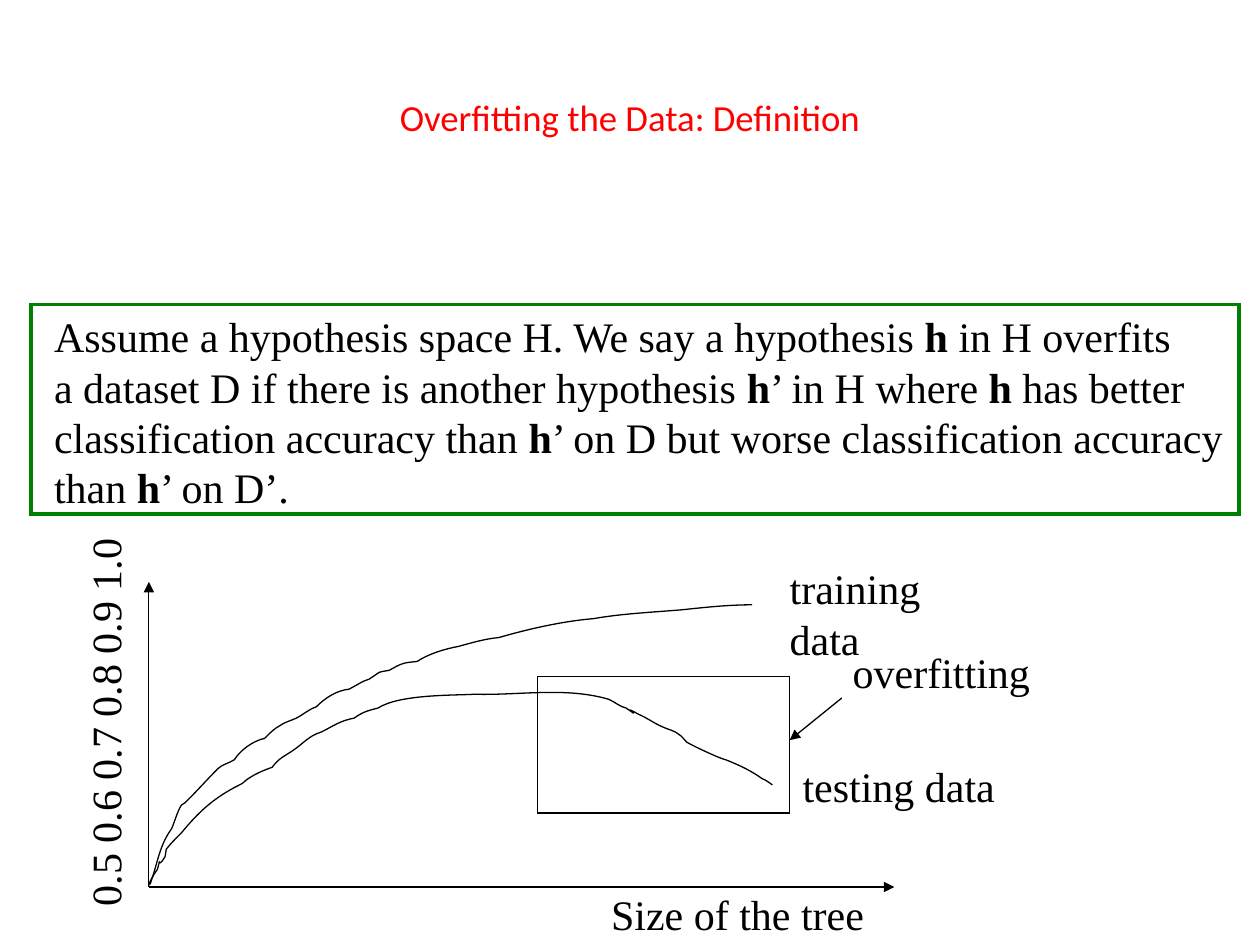
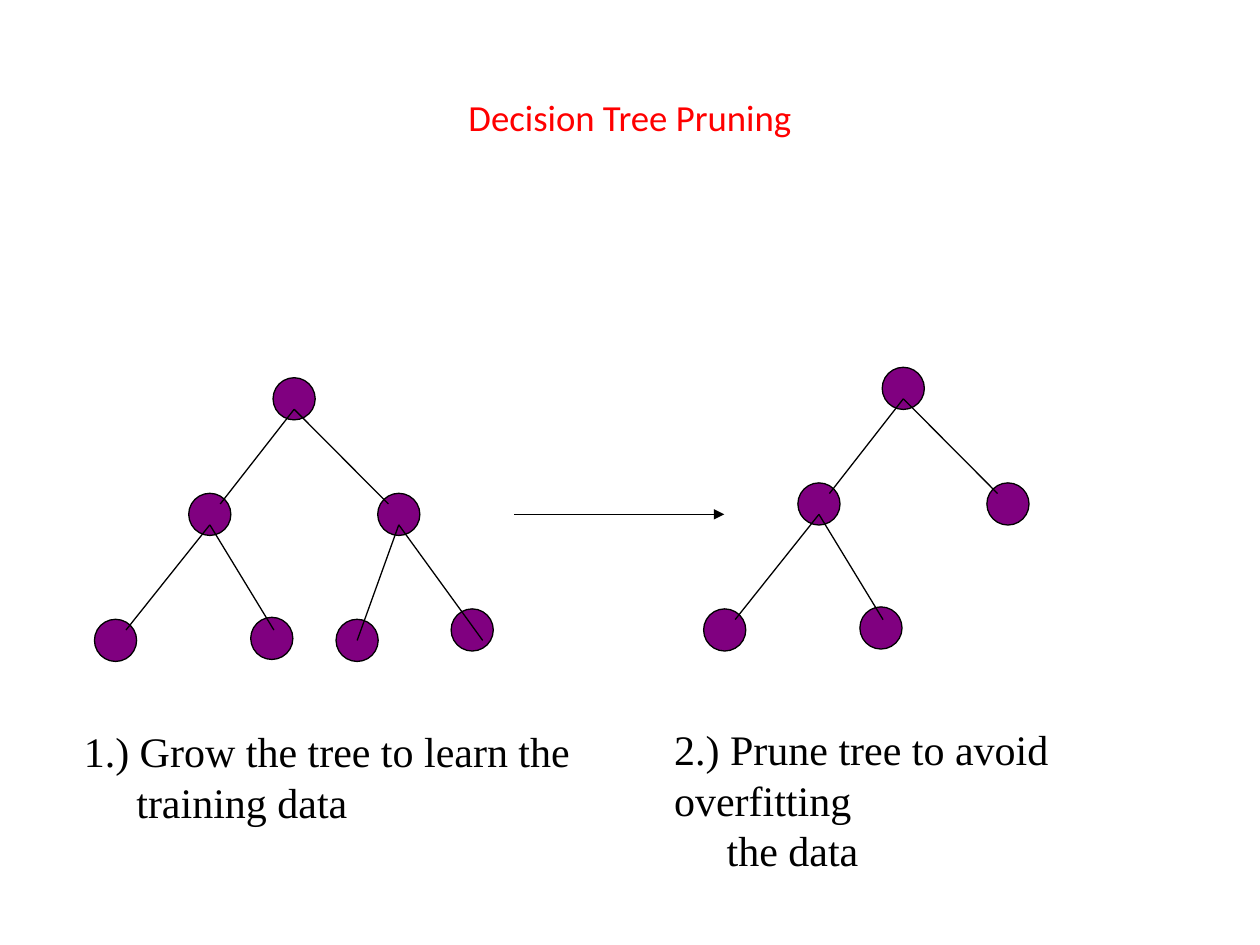
from dataclasses import dataclass

from lxml import etree
from pptx import Presentation
from pptx import util as u
from pptx.dml.color import RGBColor
from pptx.enum import shapes, text
from pptx.oxml.ns import qn


@dataclass(frozen=True)
class Theme:
    title_font: str = "Calibri"
    body_font: str = "Times New Roman"
    title_size: int = 21
    body_size: int = 24
    title: RGBColor = RGBColor(0xFF, 0x00, 0x00)
    ink: RGBColor = RGBColor(0x00, 0x00, 0x00)
    frame: RGBColor = RGBColor(0x00, 0x80, 0x00)
    node: RGBColor = RGBColor(0x80, 0x00, 0x80)
    thin: float = 0.75
    thick: float = 2.25


THEME = Theme()
CM_PER_INCH = 2.54

DEFINITION = [
    "Assume a hypothesis space H. We say a hypothesis *h* in H overfits",
    "a dataset D if there is another hypothesis *h*’ in H where *h* has better",
    "classification accuracy than *h*’ on D but worse classification accuracy",
    "than *h*’ on D’.",
]

# Accuracy curves in inches: a start, then two handles and an end per bend.
TRAINING = [
    (1.19, 7.02),
    (1.25, 6.86), (1.26, 6.72), (1.36, 6.58), (1.37, 6.57), (1.41, 6.43), (1.44, 6.39),
    (1.45, 6.38), (1.48, 6.37), (1.49, 6.35), (1.57, 6.27), (1.65, 6.18), (1.73, 6.1),
    (1.76, 6.07), (1.81, 6.06), (1.86, 6.03), (1.91, 5.95), (2.01, 5.88), (2.1, 5.86),
    (2.14, 5.82), (2.18, 5.78), (2.22, 5.76), (2.26, 5.73), (2.31, 5.72), (2.35, 5.7),
    (2.41, 5.67), (2.45, 5.63), (2.51, 5.61), (2.58, 5.54), (2.67, 5.48), (2.77, 5.47),
    (2.9, 5.4), (2.85, 5.42), (2.93, 5.39), (3.04, 5.32), (2.98, 5.34), (3.09, 5.32),
    (3.18, 5.27), (3.19, 5.26), (3.31, 5.25), (3.4, 5.19), (3.53, 5.15), (3.64, 5.13),
    (3.75, 5.1), (3.85, 5.07), (3.96, 5.06), (4.2, 4.99), (4.47, 4.93), (4.71, 4.91),
    (4.94, 4.87), (5.17, 4.86), (5.41, 4.84), (5.6, 4.82), (5.78, 4.8), (5.97, 4.8),
]
TESTING = [
    (1.18, 7.03),
    (1.19, 6.98), (1.25, 6.9), (1.25, 6.9), (1.29, 6.75), (1.23, 6.93), (1.31, 6.8),
    (1.32, 6.78), (1.31, 6.76), (1.32, 6.74), (1.35, 6.7), (1.4, 6.65), (1.44, 6.61),
    (1.58, 6.44), (1.7, 6.33), (1.9, 6.23), (1.93, 6.22), (1.95, 6.19), (1.97, 6.18),
    (2.03, 6.14), (2.1, 6.11), (2.16, 6.09), (2.21, 6.02), (2.26, 6), (2.32, 5.96),
    (2.41, 5.9), (2.45, 5.84), (2.55, 5.81), (2.65, 5.76), (2.7, 5.72), (2.81, 5.7),
    (2.88, 5.65), (2.92, 5.64), (3, 5.62), (3.17, 5.51), (3.59, 5.52), (3.77, 5.51),
    (4.12, 5.52), (4.49, 5.45), (4.83, 5.55), (4.88, 5.57), (4.92, 5.61), (4.97, 5.62),
    (5.13, 5.73), (4.89, 5.57), (5.07, 5.67), (5.14, 5.7), (5.19, 5.74), (5.26, 5.77),
    (5.3, 5.79), (5.36, 5.8), (5.39, 5.83), (5.41, 5.84), (5.43, 5.87), (5.45, 5.89),
    (5.48, 5.91), (5.71, 6.02), (5.76, 6.03), (5.86, 6.07), (5.95, 6.11), (6.05, 6.18),
    (6.08, 6.19), (6.13, 6.23), (6.13, 6.23),
]

NODE_SIZE = 0.85
NUDGE = 0.21
# Node: centre x, centre y, parent, where the branch meets it (in nudges).
TREE = {
    "root": (5.93, 8.04, None, None),
    "left": (4.23, 10.37, "root", (1, -1)),
    "right": (8.04, 10.37, "root", (-1, -1)),
    "left-left": (2.33, 12.91, "left", (1, -1)),
    "left-right": (5.48, 12.87, "left", (0.2, -0.8)),
    "right-left": (7.2, 12.91, "right", (0, 0)),
    "right-right": (9.52, 12.7, "right", (1, 1)),
}
PRUNED_TREE = {name: node for name, node in TREE.items() if node[2] != "right"}


def box(*lengths):
    return [u.Cm(length) for length in lengths]


def style_line(line, color=THEME.ink, width=THEME.thin):
    line.color.rgb = color
    line.width = u.Pt(width)


def style_font(font, name, size, color):
    font.name = name
    font.size = u.Pt(size)
    font.color.rgb = color


def add_title(slide, words):
    frame = slide.shapes.add_textbox(*box(1.27, 0.76, 22.86, 3.18)).text_frame
    frame.word_wrap = True
    frame.vertical_anchor = text.MSO_ANCHOR.MIDDLE
    heading = frame.paragraphs[0]
    heading.text = words
    heading.alignment = text.PP_ALIGN.CENTER
    style_font(heading.font, THEME.title_font, THEME.title_size, THEME.title)


def add_text(slide, place, lines, wrap=False, rotation=0, last_indent=0):
    """Add one paragraph per line; words between asterisks are bold."""
    label = slide.shapes.add_textbox(*box(*place))
    label.rotation = rotation
    frame = label.text_frame
    frame.word_wrap = wrap
    frame.auto_size = text.MSO_AUTO_SIZE.SHAPE_TO_FIT_TEXT
    for index, line in enumerate(lines):
        paragraph = frame.add_paragraph() if index else frame.paragraphs[0]
        for part, words in enumerate(line.split("*")):
            run = paragraph.add_run()
            run.text = words
            if part % 2:
                run.font.bold = True
        style_font(paragraph.font, THEME.body_font, THEME.body_size, THEME.ink)
    if last_indent:
        properties = paragraph._p.get_or_add_pPr()
        properties.set("marL", str(u.Cm(last_indent)))
        properties.set("indent", "0")


def add_frame(slide, place, color=THEME.ink, width=THEME.thin):
    frame = slide.shapes.add_shape(shapes.MSO_SHAPE.RECTANGLE, *box(*place))
    frame.shadow.inherit = False
    frame.fill.background()
    style_line(frame.line, color, width)
    etree.SubElement(frame.line._get_or_add_ln(), qn("a:miter"), lim="800000")


def add_line(slide, start, end, arrow=False):
    line = slide.shapes.add_connector(
        shapes.MSO_CONNECTOR.STRAIGHT, *box(*start, *end))
    style_line(line.line)
    if arrow:
        etree.SubElement(line.line._get_or_add_ln(), qn("a:tailEnd"), type="triangle")
    etree.SubElement(line._element.spPr, qn("a:effectLst"))


def add_curve(slide, inches):
    """Draw a freeform whose points after the first are taken three to a bend."""
    points = [box(x * CM_PER_INCH, y * CM_PER_INCH) for x, y in inches]
    builder = slide.shapes.build_freeform(*points[0])
    builder.add_line_segments(points[1:], close=False)
    curve = builder.convert_to_shape()
    curve.shadow.inherit = False
    curve.fill.background()
    style_line(curve.line)

    outline = next(curve._element.spPr.iter(qn("a:path")))
    segments = outline.findall(qn("a:lnTo"))
    for first in range(0, len(segments), 3):
        bend = etree.SubElement(outline, qn("a:cubicBezTo"))
        for segment in segments[first:first + 3]:
            bend.append(segment[0])
            outline.remove(segment)


def add_tree(slide, tree, dx=0, dy=0):
    for x, y, _, _ in tree.values():
        corner = (x + dx - NODE_SIZE / 2, y + dy - NODE_SIZE / 2)
        node = slide.shapes.add_shape(
            shapes.MSO_SHAPE.OVAL, *box(*corner, NODE_SIZE, NODE_SIZE))
        node.shadow.inherit = False
        node.fill.solid()
        node.fill.fore_color.rgb = THEME.node
        style_line(node.line)
    for x, y, parent, meet in tree.values():
        if parent:
            parent_x, parent_y = tree[parent][:2]
            add_line(slide, (parent_x + dx, parent_y + dy + NUDGE),
                     (x + dx + meet[0] * NUDGE, y + dy + meet[1] * NUDGE))


def build_definition(slide):
    add_title(slide, "Overfitting the Data: Definition")
    add_text(slide, (0.84, 6.14, 24.1, 4.32), DEFINITION)
    add_frame(slide, (0.63, 6.14, 24.34, 4.23), THEME.frame, THEME.thick)

    origin = (3.0, 17.88)
    add_line(slide, origin, (18.03, 17.88), arrow=True)
    add_line(slide, origin, (3.0, 11.73), arrow=True)
    add_text(slide, (-1.85, 13.92, 7.92, 1.27), ["0.5 0.6 0.7 0.8 0.9 1.0"],
             rotation=270)
    add_text(slide, (12.07, 17.78, 5.61, 1.27), ["Size of the tree"])

    add_curve(slide, TRAINING)
    add_curve(slide, TESTING)
    add_text(slide, (15.67, 11.22, 4.75, 1.27), ["training data"])
    add_text(slide, (15.93, 15.2, 4.39, 1.27), ["testing data"])

    add_frame(slide, (10.84, 13.64, 5.08, 2.75))
    add_text(slide, (16.94, 12.9, 4.09, 1.27), ["overfitting"])
    add_line(slide, (16.97, 14.07), (15.92, 14.92), arrow=True)


def build_pruning(slide):
    add_title(slide, "Decision Tree Pruning")
    add_tree(slide, TREE)
    add_text(slide, (1.44, 14.51, 10.52, 2.29),
             ["1.) Grow the tree to learn the", "training data"], last_indent=1.06)
    add_line(slide, (10.37, 10.37), (14.6, 10.37), arrow=True)
    add_tree(slide, PRUNED_TREE, dx=12.28, dy=-0.21)
    add_text(slide, (13.34, 14.47, 11.4, 2.29),
             ["2.) Prune tree to avoid overfitting", "the data"],
             wrap=True, last_indent=1.06)


def main():
    deck = Presentation()
    deck.slide_width, deck.slide_height = box(25.4, 19.05)
    for build in (build_definition, build_pruning):
        build(deck.slides.add_slide(deck.slide_layouts[6]))
    deck.save("out.pptx")


if __name__ == "__main__":
    main()
